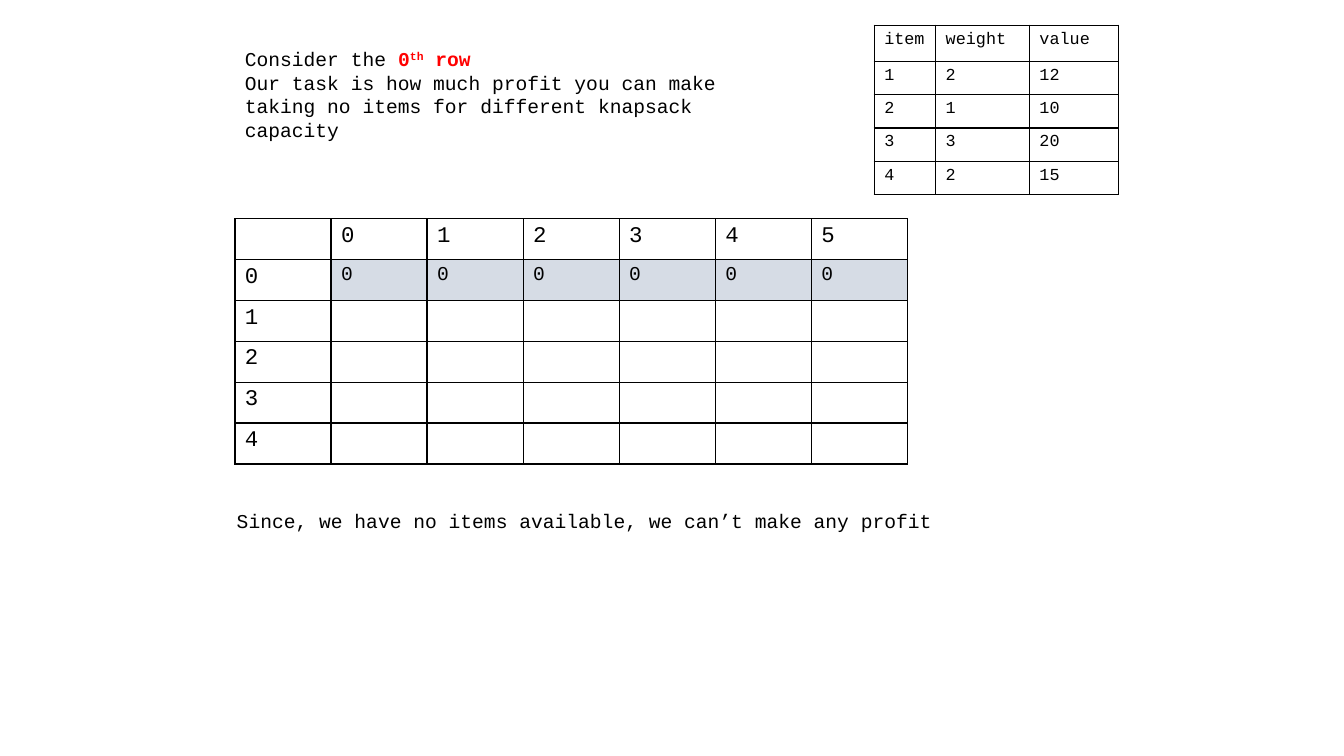
from lxml import etree
from pptx import Presentation
from pptx.dml.color import RGBColor
from pptx.enum import text
from pptx.oxml import ns
from pptx.util import Inches, Pt

BLACK = RGBColor(0x00, 0x00, 0x00)
RED = RGBColor(0xFF, 0x00, 0x00)
PALE_BLUE = RGBColor(0xD6, 0xDC, 0xE5)


class SlideBuilder:
    font = "Courier New"
    border = Pt(1)

    def __init__(self, slide):
        self.slide = slide

    def run(self, paragraph, words, size, color=BLACK, bold=False, baseline=0):
        run = paragraph.add_run()
        run.text = words
        run.font.name = self.font
        run.font.size = Pt(size)
        run.font.bold = bold
        run.font.color.rgb = color
        if baseline:
            run._r.get_or_add_rPr().set("baseline", str(baseline * 1000))

    def text_box(self, left, top, width, height, paragraphs, size=14):
        box = self.slide.shapes.add_textbox(
            Inches(left), Inches(top), Inches(width), Inches(height))
        frame = box.text_frame
        frame.word_wrap = True
        frame.auto_size = text.MSO_AUTO_SIZE.SHAPE_TO_FIT_TEXT
        for index, runs in enumerate(paragraphs):
            paragraph = frame.add_paragraph() if index else frame.paragraphs[0]
            for words, style in runs:
                self.run(paragraph, words, size, **style)

    def outline(self, cell):
        properties = cell._tc.get_or_add_tcPr()
        for side in ("a:lnL", "a:lnR", "a:lnT", "a:lnB"):
            line = etree.SubElement(properties, ns.qn(side), w=str(self.border))
            fill = etree.SubElement(line, ns.qn("a:solidFill"))
            etree.SubElement(fill, ns.qn("a:srgbClr"), val=str(BLACK))

    def table(self, left, top, widths, heights, rows, size, shaded=(), shaded_size=14):
        grid = self.slide.shapes.add_table(
            len(heights), len(widths), Inches(left), Inches(top),
            Inches(sum(widths)), Inches(sum(heights))).table
        grid.first_row = grid.horz_banding = False
        for column, width in zip(grid.columns, widths):
            column.width = Inches(width)
        for row, height in zip(grid.rows, heights):
            row.height = Inches(height)
        for r, values in enumerate(rows):
            for c, value in enumerate(values):
                cell = grid.cell(r, c)
                highlighted = (r, c) in shaded
                self.outline(cell)
                if highlighted:
                    cell.fill.solid()
                    cell.fill.fore_color.rgb = PALE_BLUE
                else:
                    cell.fill.background()
                if value:
                    self.run(cell.text_frame.paragraphs[0], value,
                             shaded_size if highlighted else size)


def main():
    deck = Presentation()
    deck.slide_width, deck.slide_height = Inches(13.33), Inches(7.5)
    builder = SlideBuilder(deck.slides.add_slide(deck.slide_layouts[6]))

    items = [("item", "weight", "value"),
             ("1", "2", "12"),
             ("2", "1", "10"),
             ("3", "3", "20"),
             ("4", "2", "15")]
    builder.table(8.67, 0.25, [0.61, 0.93, 0.88], [0.36] + [0.33] * 4, items, 12)

    capacities = [str(capacity) for capacity in range(6)]
    profits = [[""] + capacities, ["0"] + ["0"] * 6]
    profits += [[str(item)] + [""] * 6 for item in range(1, 5)]
    zero_row = [(1, column) for column in range(1, 7)]
    builder.table(2.33, 2.17, [6.67 / 7] * 7, [2.43 / 6] * 6, profits, 16, zero_row)

    builder.text_box(2.25, 5, 8.67, 0.34, [
        [("Since, we have no items available, we can’t make any profit", {})]])

    emphasis = {"color": RED, "bold": True}
    builder.text_box(2.33, 0.42, 5.67, 1.04, [
        [("Consider the", {}),
         (" 0", emphasis),
         ("th", {**emphasis, "baseline": 30}),
         (" row", emphasis)],
        [("Our task is how much profit you can make taking no items "
          "for different knapsack capacity", {})]])

    deck.save("out.pptx")


if __name__ == "__main__":
    main()
